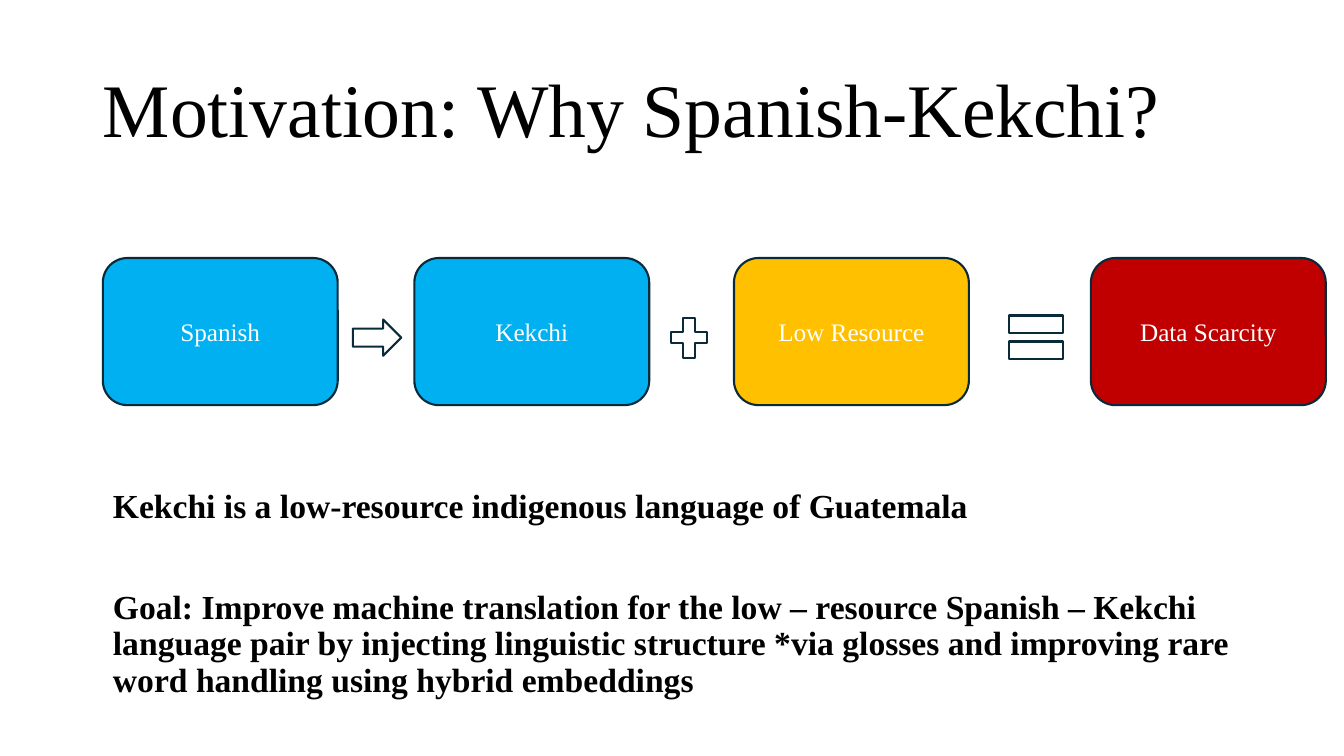
from dataclasses import dataclass

from pptx import Presentation
from pptx.dml.color import RGBColor
from pptx.enum import shapes, text
from pptx.oxml import parse_xml
from pptx.oxml.ns import nsdecls
from pptx.util import Inches, Pt

FONT = "Times New Roman"
OUTLINE, WHITE, BLACK = "092A39", "FFFFFF", "000000"
BOX_TOP, BOX_WIDTH, BOX_HEIGHT = 2.56, 2.33, 1.46
KIND = shapes.MSO_SHAPE


@dataclass
class Box:
    label: str
    left: float
    fill: str


@dataclass
class Sign:
    kind: shapes.MSO_SHAPE
    left: float
    top: float
    width: float
    height: float


BOXES = [
    Box("Spanish", 1.02, "00B0F0"),
    Box("Kekchi", 4.11, "00B0F0"),
    Box("Low Resource", 7.28, "FFC000"),
    Box("Data Scarcity", 10.82, "C00000"),
]
SIGNS = [
    Sign(KIND.RIGHT_ARROW, 3.5, 3.17, 0.48, 0.36),
    Sign(KIND.MATH_PLUS, 6.59, 3.08, 0.49, 0.54),
    Sign(KIND.MATH_EQUAL, 9.91, 2.98, 0.73, 0.73),
]
STATEMENTS = [
    "Kekchi is a low-resource indigenous language of Guatemala",
    "Goal: Improve machine translation for the low – resource Spanish – Kekchi "
    "language pair by injecting linguistic structure *via glosses and improving "
    "rare word handling using hybrid embeddings",
]


def rgb(value: str) -> RGBColor:
    return RGBColor.from_string(value)


def write(p, words: str, size: float, color: str, bold: bool = False, **formats) -> None:
    """Put one run into the paragraph; formats are paragraph attributes."""
    r = p.add_run()
    r.text = words
    r.font.color.rgb = rgb(color)
    for name, value in {"name": FONT, "size": Pt(size), "bold": bold}.items():
        setattr(r.font, name, value)
    for name, value in formats.items():
        setattr(p, name, value)


def place(sp, left: float, top: float, width: float, height: float) -> None:
    for name, value in dict(left=left, top=top, width=width, height=height).items():
        setattr(sp, name, Inches(value))


def add_outlined(s, kind, left: float, top: float, width: float, height: float, fill: str):
    sp = s.shapes.add_shape(kind, *map(Inches, (left, top, width, height)))
    sp.shadow.inherit = False
    sp.fill.solid()
    sp.fill.fore_color.rgb = rgb(fill)
    sp.line.color.rgb = rgb(OUTLINE)
    sp.line.width = Pt(1.5)
    return sp


def add_box(s, box: Box) -> None:
    sp = add_outlined(s, KIND.ROUNDED_RECTANGLE, box.left, BOX_TOP,
                      BOX_WIDTH, BOX_HEIGHT, box.fill)
    tf = sp.text_frame
    tf.vertical_anchor = text.MSO_ANCHOR.MIDDLE
    write(tf.paragraphs[0], box.label, 18, WHITE, alignment=text.PP_ALIGN.CENTER)


def fill_title(sp) -> None:
    place(sp, 0.92, 0.4, 11.5, 1.45)
    tf = sp.text_frame
    tf.auto_size = text.MSO_AUTO_SIZE.NONE
    tf.vertical_anchor = text.MSO_ANCHOR.MIDDLE
    write(tf.paragraphs[0], "Motivation: Why Spanish-Kekchi?", 54, BLACK,
          alignment=text.PP_ALIGN.LEFT, line_spacing=0.9)


def fill_body(sp) -> None:
    place(sp, 1.02, 4.26, 11.62, 3.24)
    tf = sp.text_frame
    tf.auto_size = text.MSO_AUTO_SIZE.NONE
    tf.margin_top = Inches(0.6)
    for i, statement in enumerate(STATEMENTS):
        p = tf.add_paragraph() if i else tf.paragraphs[0]
        write(p, statement, 24, BLACK, bold=True, line_spacing=0.9,
              space_before=Pt(46 if i else 0))
        pPr = p._p.get_or_add_pPr()
        pPr.set("marL", "0")
        pPr.set("indent", "0")
        pPr.append(parse_xml(f"<a:buNone {nsdecls('a')}/>"))


def main() -> None:
    prs = Presentation()
    prs.slide_width, prs.slide_height = Inches(13.33), Inches(7.5)
    s = prs.slides.add_slide(prs.slide_layouts[1])
    fill_title(s.shapes.title)
    fill_body(s.placeholders[1])
    for box in BOXES:
        add_box(s, box)
    for sign in SIGNS:
        add_outlined(s, sign.kind, sign.left, sign.top, sign.width, sign.height, WHITE)
    prs.save("out.pptx")


if __name__ == "__main__":
    main()
